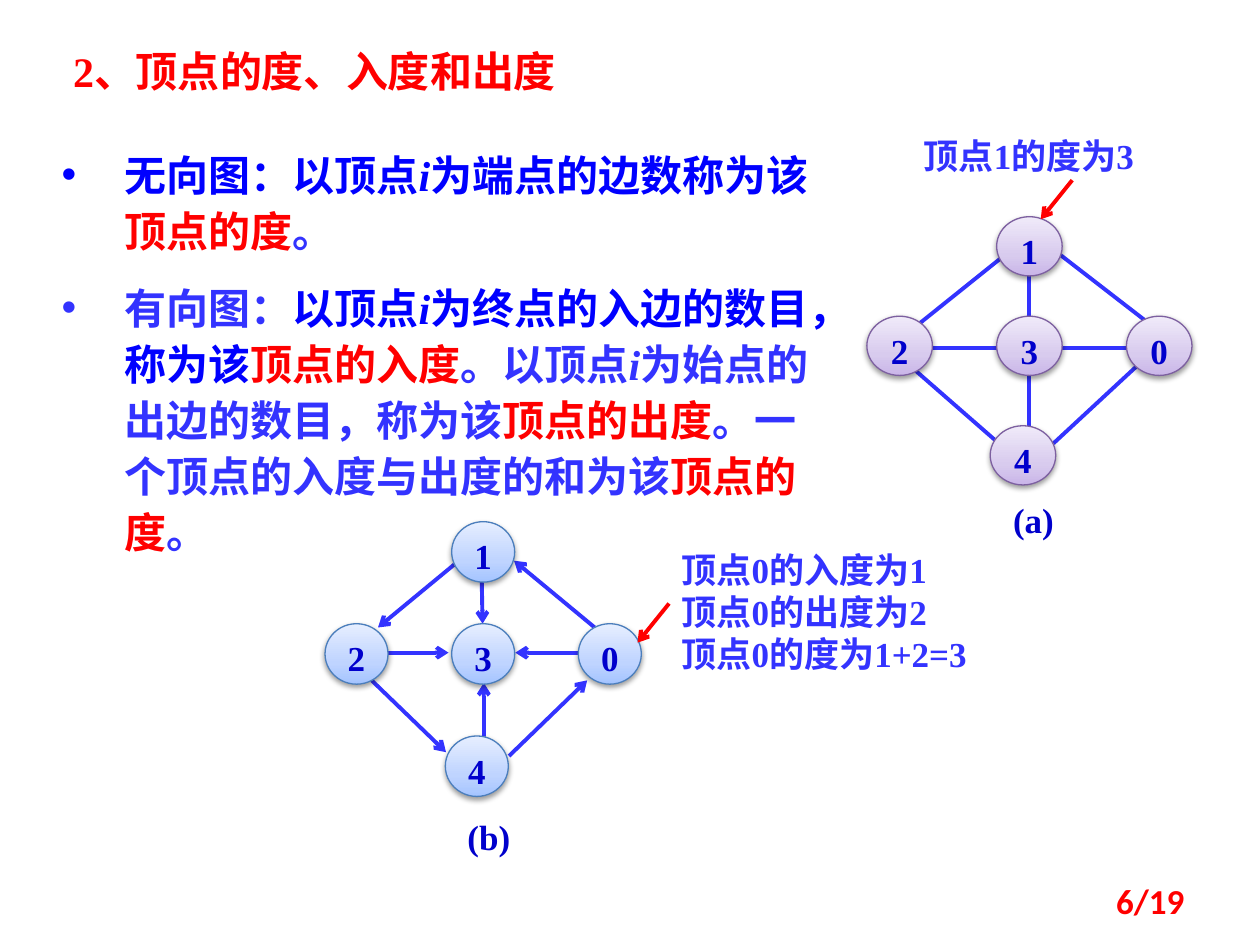
from pptx import Presentation
from pptx.dml.color import RGBColor
from pptx.enum.shapes import MSO_CONNECTOR, MSO_SHAPE
from pptx.enum.text import MSO_ANCHOR, PP_ALIGN
from pptx.oxml import parse_xml
from pptx.oxml.ns import nsdecls
from pptx.util import Inches, Pt

STRAIGHT = MSO_CONNECTOR.STRAIGHT
OVAL = MSO_SHAPE.OVAL
TOP, MIDDLE = MSO_ANCHOR.TOP, MSO_ANCHOR.MIDDLE
LEFT, CENTER, RIGHT, JUSTIFY = PP_ALIGN.LEFT, PP_ALIGN.CENTER, PP_ALIGN.RIGHT, PP_ALIGN.JUSTIFY

RED, BLUE, VIOLET, NAVY = "FF0000", "0000FF", "3333FF", "0000CC"
COLUMNS, ROWS = 100, 75


def color(code):
    """Turn a hex string into a colour."""
    return RGBColor.from_string(code)


def xml(tag, body="", attributes=""):
    """Build one drawing element."""
    return parse_xml(f"<a:{tag} {nsdecls('a')} {attributes}>{body}</a:{tag}>")


class Slide:
    """Style and current slide; lengths are columns and rows of the grid."""

    font = "Times New Roman"
    padding = (0.1, 0.05, 0.1, 0.05)

    def __init__(self, deck):
        """Add a blank page to the deck."""
        self.page = deck.slides.add_slide(deck.slide_layouts[6])
        self.shapes = self.page.shapes
        self.column = deck.slide_width / COLUMNS
        self.row = deck.slide_height / ROWS

    def place(self, *lengths):
        """Convert alternating columns and rows to slide units."""
        return [round(length * (self.row if index % 2 else self.column))
                for index, length in enumerate(lengths)]

    def start_group(self):
        """Put the following elements in a new group."""
        self.shapes = self.page.shapes.add_group_shape().shapes

    def end_group(self):
        """Put the following elements directly on the page."""
        self.shapes = self.page.shapes

    def fill_text(self, shape, paragraphs, size, align=LEFT, anchor=TOP, insets=padding, font=font):
        """Fill a shape with paragraphs made of (text, colour, italic) spans."""
        frame = shape.text_frame
        frame.word_wrap = True
        frame.vertical_anchor = anchor
        frame.margin_left, frame.margin_top, frame.margin_right, frame.margin_bottom = map(Inches, insets)
        for index, spans in enumerate(paragraphs):
            para = frame.add_paragraph() if index else frame.paragraphs[0]
            para.alignment = align
            for text, code, *italic in spans:
                span = para.add_run()
                span.text = text
                span.font.name, span.font.size = font, Pt(size)
                span.font.bold, span.font.italic = True, bool(italic)
                span.font.color.rgb = color(code)
        return frame.paragraphs

    def text(self, area, paragraphs, size=20, **options):
        """Add a text box."""
        return self.fill_text(self.shapes.add_textbox(*self.place(*area)), paragraphs, size, **options)

    def bullets(self, area, paragraphs, size):
        """Add a bulleted list with a hanging indent."""
        for para in self.text(area, paragraphs, size):
            para.line_spacing, para.space_before = Pt(32), Pt(size / 2)
            properties = para._p.get_or_add_pPr()
            properties.set("marL", str(Inches(0.5)))
            properties.set("indent", str(-Inches(0.5)))
            properties.append(xml("buFont", attributes='typeface="Arial"'))
            properties.append(xml("buChar", attributes='char="•"'))

    def line(self, ends, code=VIOLET, arrow=False):
        """Add a straight line, with an arrowhead at its end if asked."""
        line = self.shapes.add_connector(STRAIGHT, *self.place(*ends))
        line.line.color.rgb, line.line.width = color(code), Pt(2.25)
        if arrow:
            line.line._get_or_add_ln().append(xml("tailEnd", attributes='type="arrow"'))
        line._element.spPr.append(xml("effectLst"))

    def node(self, area, label, shades, outline):
        """Add a graph vertex: a shaded, shadowed oval with its number."""
        oval = self.shapes.add_shape(OVAL, *self.place(*area))
        oval.line.color.rgb, oval.line.width = color(outline), Pt(0.75)
        stops = "".join(f'<a:gs pos="{share}000"><a:srgbClr val="{shade}"/></a:gs>'
                        for share, shade in zip((0, 35, 100), shades))
        properties = oval._element.spPr
        properties.insert(2, xml("gradFill", f'<a:gsLst>{stops}</a:gsLst><a:lin ang="16200000" scaled="1"/>'))
        properties.append(xml("effectLst", f'<a:outerShdw blurRad="{Pt(3.1)}" dist="{Pt(1.6)}" dir="5400000" '
                              'rotWithShape="0"><a:srgbClr val="000000"><a:alpha val="38000"/>'
                              '</a:srgbClr></a:outerShdw>'))
        for para in self.fill_text(oval, [[(label, NAVY)]], 20, CENTER, insets=(0, 0.12, 0, 0)):
            para.line_spacing = 0.72

    def graph(self, origin, pitch, size, edges, directed, shades, outline, caption, area, inset):
        """Add a grouped graph: edges, the five vertices and a caption."""
        self.start_group()
        for ends in edges:
            self.line(ends, arrow=directed)
        for label, (across, down) in VERTICES.items():
            corner = origin[0] + across * pitch[0], origin[1] + down * pitch[1]
            self.node((*corner, *size), label, shades, outline)
        self.text((*area, *size), [[(caption, NAVY)]], align=JUSTIFY, insets=(0, inset, 0, 0))
        self.end_group()

    def callout(self, area, lines, ends, align=LEFT):
        """Add a grouped remark with a red arrow."""
        self.start_group()
        self.text(area, [[(line, VIOLET)] for line in lines], align=align)
        self.line(ends, RED, arrow=True)
        self.end_group()


VERTICES = {"1": (1, 0), "3": (1, 1), "0": (2, 1), "2": (0, 1), "4": (0.95, 2.1)}
UNDIRECTED = [
    (73.5, 27.6, 89.8, 27.6), (72.3, 29.1, 79.4, 35.3), (83.6, 35.2, 90.5, 28.8),
    (83.6, 19.8, 91.1, 25.6), (79.8, 20.2, 71.7, 26.7), (81.7, 21.8, 81.7, 35.9),
]
DIRECTED = [
    (38.2, 44.1, 38.3, 49.5), (38.4, 59, 38.4, 54.2), (45.9, 51.8, 40.9, 51.8), (30.6, 51.8, 35.6, 51.8),
    (29.5, 54, 35.4, 59.7), (40.4, 60, 46.6, 54), (47.2, 49.8, 40.8, 44.5), (36.3, 44.6, 30, 49.8),
]
DEFINITIONS = [
    [("无向图：以顶点", BLUE), ("i", BLUE, True), ("为端点的边数称为该", BLUE),
     ("顶点的度", RED), ("。", VIOLET)],
    [("有向图：", VIOLET), ("以顶点", BLUE), ("i", BLUE, True), ("为终点的入边的数目，称为该", BLUE),
     ("顶点的入度", RED), ("。以顶点", VIOLET), ("i", VIOLET, True),
     ("为始点的出边的数目，称为该", VIOLET), ("顶点的出度", RED),
     ("。一个顶点的入度与出度的和为该", VIOLET), ("顶点的度", RED), ("。", VIOLET)],
]


def main():
    """Build the slide and save the deck."""
    deck = Presentation()
    deck.slide_width, deck.slide_height = Inches(10), Inches(7.5)
    slide = Slide(deck)
    slide.text((3.1, 3.1, 46, 5), [[("2、顶点的度、入度和出度", RED)]], 24, align=JUSTIFY,
               insets=(0.27, 0.05, 0.1, 0.05))
    slide.graph((68.8, 17.2), (10.3, 7.9), (5.2, 4.7), UNDIRECTED, False,
                ("C9B5E8", "D8CBEE", "F0EAF9"), "7D60A0", "(a)", (80.4, 39.6), 0)
    slide.graph((25.8, 41.4), (10.05, 8.1), (5, 4.8), DIRECTED, True,
                ("A4C4FF", "BFD4FF", "E6EEFF"), "4B7EBC", "(b)", (37.1, 63.5), 0.12)
    slide.bullets((3.9, 10.9, 61.7, 34.4), DEFINITIONS, 24)
    slide.callout((71.9, 10.2, 19.5, 4.4), ["顶点1的度为3"], (85.1, 14.3, 82.6, 17.4), CENTER)
    slide.callout((53.1, 43, 27.3, 11.1), ["顶点0的入度为1", "顶点0的出度为2", "顶点0的度为1+2=3"],
                  (53.1, 47.9, 50.6, 51))
    slide.text((71.7, 69.5, 23.3, 4), [[("6/19", RED)]], align=RIGHT, anchor=MIDDLE, font="Calibri")
    deck.save("out.pptx")


main()
